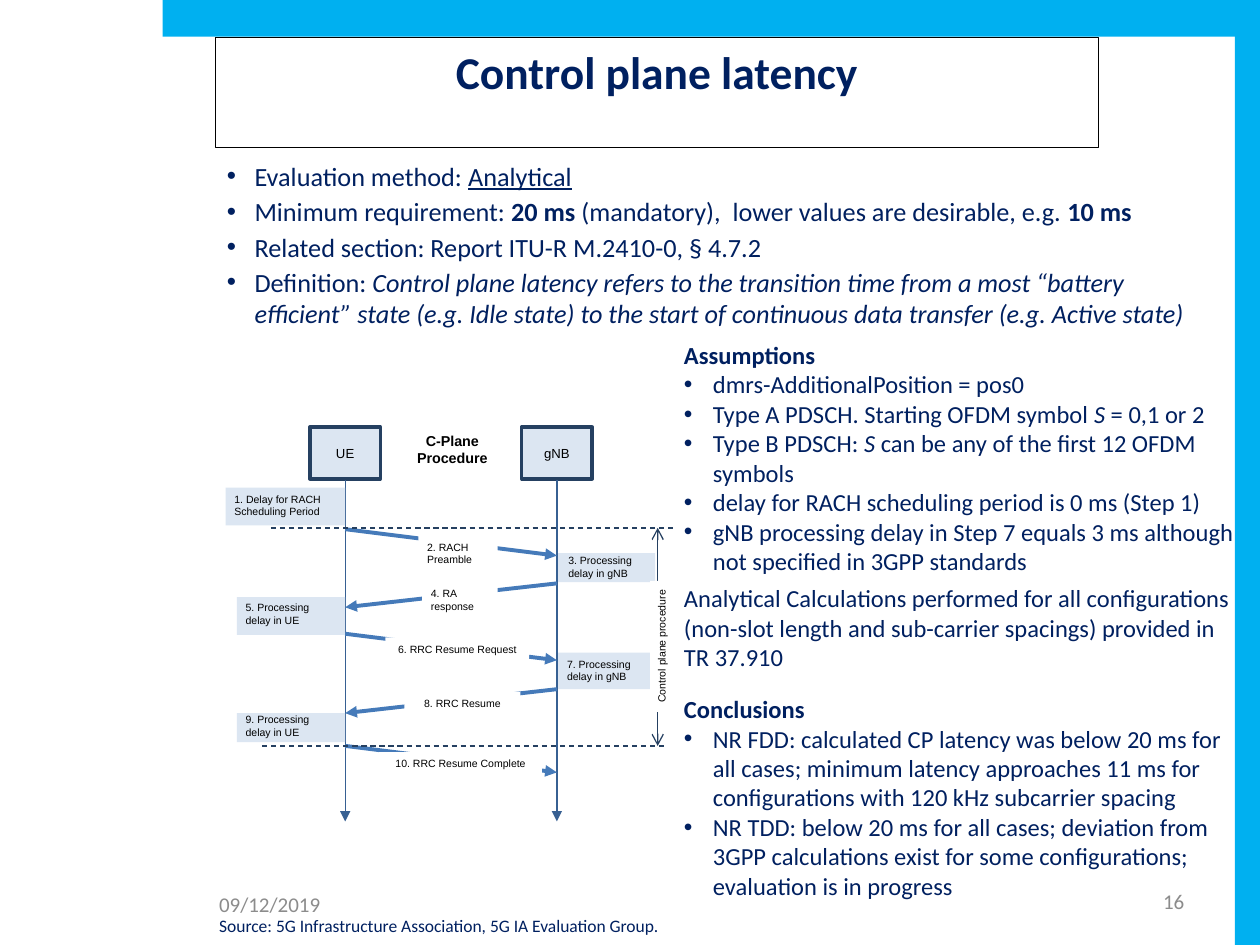
from dataclasses import dataclass
from typing import NamedTuple

from lxml import etree
from pptx import Presentation, util as u
from pptx.dml.color import RGBColor
from pptx.enum import dml, shapes, text
from pptx.oxml.ns import qn


@dataclass(frozen=True)
class Theme:
    """Colours, fonts and type sizes."""
    navy: str = "002060"
    sky: str = "00B0F0"
    pale: str = "DCE6F2"
    deep: str = "254061"
    life: str = "376092"
    call: str = "457AB9"
    grey: str = "8C8C8C"
    black: str = "000000"
    white: str = "FFFFFF"
    sans: str = "Calibri"
    arial: str = "Arial"
    head: float = 26
    body: float = 15
    note: float = 14
    foot: float = 12
    small: float = 10
    name: float = 8.2
    node: float = 7.5
    step: float = 6


class Area(NamedTuple):
    """Left, top, width and height in grid cells."""
    x: float
    y: float
    w: float
    h: float


class Para(NamedTuple):
    """Runs as (words, style letters b, i, u), with spacing."""
    runs: list
    dot: bool = False
    gap: float = 0


class Look(NamedTuple):
    """Font, alignment and insets of a text."""
    size: float
    color: str
    font: str
    al: str = "LEFT"
    ins: tuple = (0.1, 0.05)
    mid: bool = False
    wrap: bool = True


class Step(NamedTuple):
    """A delay: tinted area, text area and words."""
    fill: Area
    label: Area
    words: str


class Call(NamedTuple):
    """A message: start row, label area, words and alignment."""
    y: float
    label: Area
    words: str
    al: str = "CENTER"


T = Theme()
COLS, ROWS = 100, 75
deck = Presentation()
deck.slide_width, deck.slide_height = u.Inches(10), u.Inches(7.5)
slide = deck.slides.add_slide(deck.slide_layouts[1])
art = slide.shapes


def cells(x: float, y: float) -> tuple:
    """Turn a column and row into lengths."""
    return int(deck.slide_width * x / COLS), int(deck.slide_height * y / ROWS)


def place(item, area: Area) -> None:
    """Move a placeholder to an area."""
    item.left, item.top = cells(area.x, area.y)
    item.width, item.height = cells(area.w, area.h)


def rgb(code: str) -> RGBColor:
    """Read a colour code."""
    return RGBColor.from_string(code)


def write(item, paras: list, look: Look, ind: float = 0.23) -> None:
    """Fill a shape with formatted paragraphs."""
    tf = item.text_frame
    side, top = map(u.Inches, look.ins)
    frame = dict(word_wrap=look.wrap, auto_size=text.MSO_AUTO_SIZE.NONE,
                 margin_left=side, margin_right=side,
                 margin_top=top, margin_bottom=top,
                 vertical_anchor=text.MSO_ANCHOR.MIDDLE if look.mid
                 else text.MSO_ANCHOR.TOP)
    for key, val in frame.items():
        setattr(tf, key, val)
    for n, para in enumerate(paras):
        p = tf.paragraphs[0] if n == 0 else tf.add_paragraph()
        p.alignment = getattr(text.PP_ALIGN, look.al)
        p.space_before = u.Pt(para.gap)
        if para.dot:
            props = p._p.get_or_add_pPr()
            props.set("marL", str(u.Inches(ind)))
            props.set("indent", str(-u.Inches(ind)))
            etree.SubElement(props, qn("a:buFont")).set("typeface", T.arial)
            etree.SubElement(props, qn("a:buChar")).set("char", "•")
        for words, style in para.runs:
            run = p.add_run()
            run.text = words
            run.font.color.rgb = rgb(look.color)
            face = dict(name=look.font, size=u.Pt(look.size), bold="b" in style,
                        italic="i" in style, underline="u" in style)
            for key, val in face.items():
                setattr(run.font, key, val)


def block(area: Area, fill: str, edge: str = "", turn: float = 0):
    """Draw a filled rectangle."""
    item = art.add_shape(shapes.MSO_SHAPE.RECTANGLE,
                         *cells(area.x, area.y), *cells(area.w, area.h))
    item.shadow.inherit = False
    item.rotation = turn
    item.fill.solid()
    item.fill.fore_color.rgb = rgb(fill)
    if edge:
        item.line.color.rgb, item.line.width = rgb(edge), u.Pt(2)
    else:
        item.line.fill.background()
    return item


def note(area: Area, paras: list, look: Look) -> None:
    """Add a plain text box."""
    write(art.add_textbox(*cells(area.x, area.y), *cells(area.w, area.h)), paras, look)


def link(start: tuple, end: tuple, color: str, width: float = 0.75,
         head: str = "", tail: str = "", dash: bool = False) -> None:
    """Draw a line with optional arrowheads."""
    item = art.add_connector(shapes.MSO_CONNECTOR.STRAIGHT, *cells(*start), *cells(*end))
    item.line.color.rgb, item.line.width = rgb(color), u.Pt(width)
    if dash:
        item.line.dash_style = dml.MSO_LINE.DASH
    for tag, kind in (("a:headEnd", head), ("a:tailEnd", tail)):
        if kind:
            etree.SubElement(item.line._get_or_add_ln(), qn(tag)).set("type", kind)
    etree.SubElement(item._element.spPr, qn("a:effectLst"))


def line(words: str, style: str = "", **more) -> Para:
    """Make a paragraph of one run."""
    return Para([(words, style)], **more)


for band in (Area(98, 0, 2, ROWS), Area(12.9, 0, 85.1, 2.9)):
    block(band, T.sky)

title, body = art.title, slide.placeholders[1]
place(title, Area(17.1, 3, 70.1, 8.7))
title.line.color.rgb, title.line.width = rgb(T.black), u.Pt(0.75)
write(title, [line("Control plane latency", "b")], Look(T.head, T.navy, T.sans, "CENTER"))
place(body, Area(17, 12.2, 80.9, 14.5))
facts = [
    [("Evaluation method: ", ""), ("Analytical", "u")],
    [("Minimum requirement: ", ""), ("20 ms ", "b"),
     ("(mandatory),  lower values are desirable, e.g. ", ""), ("10 ms", "b")],
    [("Related section: Report ITU-R M.2410-0, § 4.7.2", "")],
    [("Definition: ", ""),
     ("Control plane latency refers to the transition time from a most “battery efficient” "
      "state (e.g. Idle state) to the start of continuous data transfer (e.g. Active state)", "i")],
]
write(body, [Para(f, True, 2.2) for f in facts], Look(T.body, T.navy, T.sans), 0.22)

UE, GNB, TOP, END = 27.4, 44.2, 41.9, 59.2
TIGHT = (0.07, 0.04)
tiny = Look(T.step, T.black, T.arial, ins=TIGHT)
for x, name in ((UE, "UE"), (GNB, "gNB")):
    write(block(Area(x - 2.8, 33.9, 5.6, 4.1), T.pale, T.deep), [line(name)],
          Look(T.node, T.black, T.arial, "CENTER", TIGHT, True))
    link((x, 38.1), (x, 65.2), T.life, tail="triangle")

steps = [
    Step(Area(17.9, 38.7, 9.5, 3), Area(17.9, 38.7, 9.5, 3), "1. Delay for RACH Scheduling Period"),
    Step(Area(44.3, 43.9, 7.7, 2.3), Area(44.4, 43.6, 7.8, 3), "3. Processing delay in gNB"),
    Step(Area(18.8, 47.4, 8.6, 3), Area(18.8, 47.3, 8.6, 3), "5. Processing delay in UE"),
    Step(Area(44.3, 51.8, 7.8, 2.9), Area(44.3, 51.8, 7.2, 3), "7. Processing delay in gNB"),
    Step(Area(18.8, 56.6, 8.6, 2.3), Area(18.8, 56.2, 8.6, 3), "9. Processing delay in UE"),
]
for s in steps:
    tint = block(s.fill, T.pale)
    if s.fill == s.label:
        write(tint, [line(s.words)], tiny)
    else:
        note(s.label, [line(s.words)], tiny)

calls = [
    Call(42, Area(33.2, 42.5, 6.3, 3), "2. RACH Preamble", "LEFT"),
    Call(46.3, Area(33.5, 46.2, 6, 3), "4. RA response", "LEFT"),
    Call(50.3, Area(30.6, 50.6, 11.4, 3), "6. RRC Resume Request"),
    Call(54.7, Area(32.1, 54.9, 9.2, 1.9), "8. RRC Resume"),
    Call(END, Area(30.1, 59.7, 12.9, 1.9), "10. RRC Resume Complete"),
]
for n, c in enumerate(calls):
    a, b, drop = (GNB, UE, 1.9) if n % 2 else (UE, GNB, 2.1)
    link((a, c.y), (b, c.y + drop), T.call, 2.25, tail="triangle")
for x, y in ((21.5, TOP), (20.8, END)):
    link((x, y), (x + 32.1, y), T.deep, dash=True)
link((52.2, TOP), (52.2, END), T.deep, head="arrow", tail="arrow")
for c in calls:
    write(block(c.label, T.white), [line(c.words)], tiny._replace(al=c.al))
write(block(Area(47, 50.7, 10.4, 1.2), T.white, turn=270),
      [line("Control plane procedure")], tiny._replace(al="CENTER"))
note(Area(32, 33.9, 7.8, 3.8), [line("C-Plane Procedure", "b")],
     Look(T.name, T.black, T.arial, "CENTER", TIGHT))

side = Look(T.note, T.navy, T.sans)
note(Area(53.3, 26.5, 45.9, 27.6), [
    line("Assumptions", "b"),
    line("dmrs-AdditionalPosition = pos0", dot=True),
    Para([("Type A PDSCH. Starting OFDM symbol ", ""), ("S", "i"), (" = 0,1 or 2", "")], True),
    Para([("Type B PDSCH: ", ""), ("S", "i"),
          (" can be any of the first 12 OFDM symbols", "")], True),
    line("delay for RACH scheduling period is 0 ms (Step 1)", dot=True),
    line("gNB processing delay in Step 7 equals 3 ms although not specified in 3GPP standards",
         dot=True),
    line("Analytical Calculations performed for all configurations (non-slot length and "
         "sub-carrier spacings) provided in TR 37.910 ", gap=4.5)], side)
note(Area(53.3, 54.6, 44.7, 17.5), [
    line("Conclusions", "b"),
    line("NR FDD: calculated CP latency was below 20 ms for all cases; minimum latency "
         "approaches 11 ms for configurations with 120 kHz subcarrier spacing", dot=True),
    line("NR TDD: below 20 ms for all cases; deviation from 3GPP calculations exist for "
         "some configurations; evaluation is in progress", dot=True)], side)
note(Area(16.8, 72.3, 37.1, 2.3),
     [line("Source: 5G Infrastructure Association, 5G IA Evaluation Group.")],
     Look(T.small, T.navy, T.sans, ins=(0.06, 0.03), wrap=False))
note(Area(77.2, 70, 17.5, 3), [line("16")],
     Look(T.foot, T.grey, T.sans, "RIGHT", TIGHT, True))
note(Area(16.4, 70.3, 12.4, 3), [line("09/12/2019")], Look(T.foot, T.grey, T.sans))

deck.save("out.pptx")
